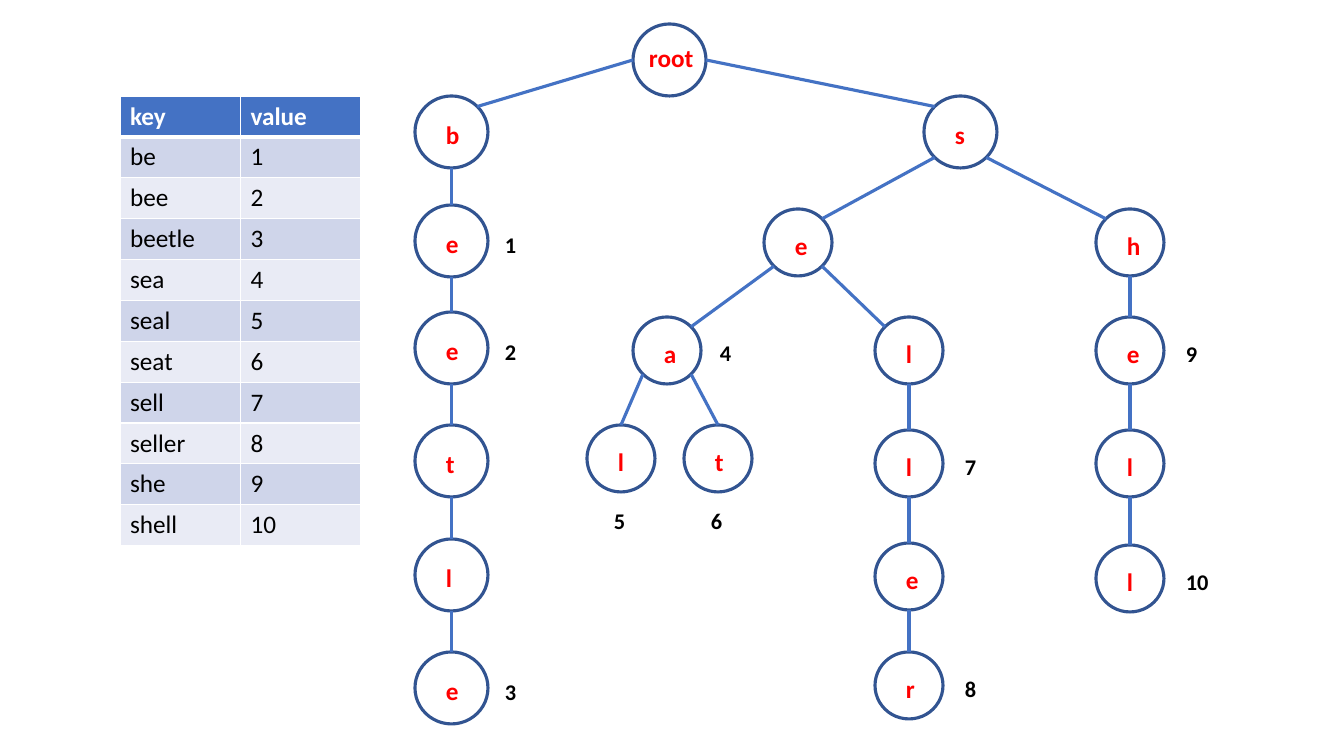
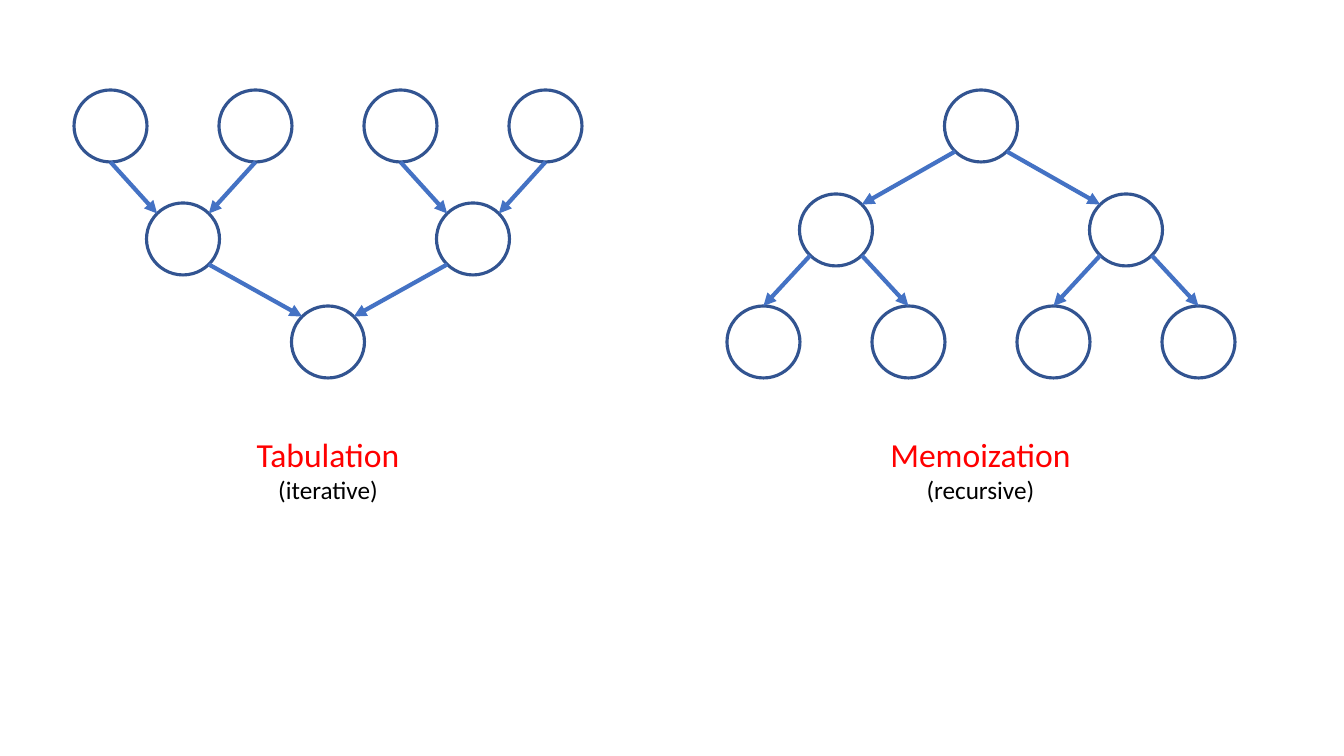
import math

import lxml.etree
import pptx
import pptx.dml.color
import pptx.enum.shapes
import pptx.enum.text
import pptx.oxml.ns
import pptx.util

RGB = pptx.dml.color.RGBColor
WHITE = RGB(0xFF, 0xFF, 0xFF)
BLACK = RGB(0, 0, 0)
RED = RGB(0xFF, 0, 0)
BLUE = RGB(0x44, 0x72, 0xC4)
NAVY = RGB(0x32, 0x54, 0x91)
BANDS = RGB(0xE9, 0xEB, 0xF5), RGB(0xCF, 0xD5, 0xEA)

FONT = "Calibri"
LARGE, SMALL = (73, 72), (68, 67)
KEYS = ["be", "bee", "beetle", "sea", "seal", "seat", "sell", "seller",
        "she", "shell"]

# Each trie node is named by its prefix; the root is the empty prefix.
TRIE = {
    "": (633, 24, LARGE),
    "b": (415, 96, LARGE),
    "be": (415, 205, LARGE),
    "bee": (415, 312, LARGE),
    "beet": (415, 425, LARGE),
    "beetl": (415, 539, LARGE),
    "beetle": (415, 652, LARGE),
    "s": (924, 96, LARGE),
    "se": (764, 209, SMALL),
    "sea": (633, 317, SMALL),
    "seal": (587, 425, SMALL),
    "seat": (684, 425, SMALL),
    "sel": (875, 317, SMALL),
    "sell": (875, 430, SMALL),
    "selle": (875, 543, SMALL),
    "seller": (875, 652, SMALL),
    "sh": (1096, 209, SMALL),
    "she": (1096, 317, SMALL),
    "shel": (1096, 430, SMALL),
    "shell": (1096, 545, SMALL),
}
# Offsets of a value from its node, where it is not beside it.
VALUE_OFFSETS = {"sea": (77, 17), "seal": (17, 77), "seat": (17, 77)}


def px(n):
    """Turn pixels into EMU."""
    return pptx.util.Emu(round(n * 914400 / 100.8))


def write(p, text, size=18, color=BLACK, bold=False, align=None):
    """Add a formatted run to a paragraph."""
    r = p.add_run()
    r.text = text
    r.font.name = FONT
    r.font.size = pptx.util.Pt(size)
    r.font.bold = bold
    r.font.color.rgb = color
    p.alignment = align


def add_xml(parent, tag, **attrs):
    """Append a drawing element and return it."""
    return lxml.etree.SubElement(parent, pptx.oxml.ns.qn("a:" + tag), attrs)


def set_borders(cell, bottom):
    """Give a cell white borders, with its own bottom width in points."""
    tc_pr = cell._tc.get_or_add_tcPr()
    for i, (side, width) in enumerate(
            [("lnL", 1), ("lnR", 1), ("lnT", 1), ("lnB", bottom)]):
        ln = add_xml(tc_pr, side, w=str(pptx.util.Pt(width)))
        add_xml(add_xml(ln, "solidFill"), "srgbClr", val=str(WHITE))
        tc_pr.insert(i, ln)


def center_x(sp):
    """Return the horizontal centre of a shape."""
    return sp.left + sp.width / 2


def side_of(a, b):
    """Return -1, 0 or 1 as b lies left of, in line with or right of a."""
    gap = center_x(b) - center_x(a)
    return 0 if abs(gap) < px(3) else int(math.copysign(1, gap))


def rim(sp, direction):
    """Return the point of a circle's rim in a direction."""
    dx, dy = direction
    n = math.hypot(dx, dy)
    return (round(center_x(sp) + dx / n * sp.width / 2),
            round(sp.top + sp.height / 2 + dy / n * sp.height / 2))


class Deck:
    """Holds the presentation, its style and the current slide."""

    def __init__(self):
        """Start an empty widescreen presentation."""
        self.prs = pptx.Presentation()
        self.prs.slide_width, self.prs.slide_height = px(1344), px(756)

    def new_slide(self):
        """Add a blank slide and draw on it from now on."""
        s = self.prs.slides.add_slide(self.prs.slide_layouts[6])
        self.page = self.shapes = s.shapes

    def circle(self, x, y, size=LARGE):
        """Draw an outlined white node."""
        oval = pptx.enum.shapes.MSO_SHAPE.OVAL
        sp = self.shapes.add_shape(oval, px(x), px(y), *map(px, size))
        sp.shadow.inherit = False
        sp.fill.solid()
        sp.fill.fore_color.rgb = WHITE
        sp.line.color.rgb = NAVY
        sp.line.width = pptx.util.Pt(2.25)
        return sp

    def link(self, a, b, start, end, width=2.25, arrow=False):
        """Join the rims of two nodes, in the given directions."""
        straight = pptx.enum.shapes.MSO_CONNECTOR.STRAIGHT
        c = self.shapes.add_connector(straight, *rim(a, start), *rim(b, end))
        c.line.color.rgb = BLUE
        c.line.width = pptx.util.Pt(width)
        sp_pr = c._element.spPr
        if arrow:
            add_xml(sp_pr.find(pptx.oxml.ns.qn("a:ln")), "tailEnd",
                    type="triangle")
        add_xml(sp_pr, "effectLst")

    def text(self, x, y, w, h, *lines, wrap=True):
        """Add a text box; each line is a text and its format."""
        tf = self.shapes.add_textbox(px(x), px(y), px(w), px(h)).text_frame
        tf.word_wrap = wrap
        tf.auto_size = pptx.enum.text.MSO_AUTO_SIZE.SHAPE_TO_FIT_TEXT
        for i, (text, fmt) in enumerate(lines):
            write(tf.add_paragraph() if i else tf.paragraphs[0], text, **fmt)

    def table(self, x, y, w, h, rows):
        """Add a banded table whose first row is the header."""
        t = self.shapes.add_table(len(rows), len(rows[0]), px(x), px(y),
                                  px(w), px(h)).table
        for i, row in enumerate(rows):
            head = i == 0
            for j, text in enumerate(row):
                cell = t.cell(i, j)
                cell.fill.solid()
                cell.fill.fore_color.rgb = BLUE if head else BANDS[i % 2]
                set_borders(cell, 3 if head else 1)
                write(cell.text_frame.paragraphs[0], text, bold=head,
                      color=WHITE if head else BLACK)

    def binary_tree(self, left, tops, upward):
        """Draw a grouped binary tree; tops run from leaves to root."""
        self.shapes = self.page.add_group_shape().shapes
        gap, levels = 145, []
        for k, top in enumerate(tops):
            count = 2 ** (len(tops) - 1 - k)
            levels.append([
                self.circle(left + gap * (2 ** k * (j + 0.5) - 0.5), top)
                for j in range(count)])
        for k, (children, parents) in enumerate(zip(levels, levels[1:])):
            for j, child in enumerate(children):
                parent = parents[j // 2]
                side = side_of(parent, child)
                dy = -1 if upward else 1
                outer = (side, dy)
                inner = (-side if k else 0, -dy)
                ends = ((child, parent, inner, outer) if upward
                        else (parent, child, outer, inner))
                self.link(*ends, width=3, arrow=True)
        self.shapes = self.page

    def caption(self, x, w, title, note):
        """Add a red title above a note in brackets."""
        center = pptx.enum.text.PP_ALIGN.CENTER
        self.text(x, 429, w, 82,
                  (title, dict(size=24, color=RED, align=center)),
                  (note, dict(align=center)), wrap=False)


def trie_slide(d):
    """Show the key table and the trie that stores it."""
    d.new_slide()
    values = {key: str(i) for i, key in enumerate(KEYS, 1)}
    d.table(120, 96, 241, 450, [("key", "value"), *values.items()])

    nodes = {name: d.circle(*place) for name, place in TRIE.items()}
    for name, child in nodes.items():
        if name:
            up = name[:-1]
            parent = nodes[up]
            side = side_of(parent, child)
            d.link(parent, child, (side, 1 if up else 0),
                   (0 if up == "sea" else -side, -1))

    for name, (x, y, size) in TRIE.items():
        red = dict(color=RED, bold=True)
        if name:
            dy, w = (18, 63) if size == LARGE else (16, 58)
            d.text(x + 21, y + dy, w, 40, (name[-1], red))
        else:
            d.text(x + 6, y + 13, 73, 40, ("root", red))
        if name in values:
            beside = (80, 21 if size == LARGE else 18)
            dx, dy = VALUE_OFFSETS.get(name, beside)
            d.text(x + dx, y + dy, 63, 37,
                   (values[name], dict(size=16, bold=True)))


def dynamic_programming_slide(d):
    """Compare tabulation with memoization."""
    d.new_slide()
    d.binary_tree(74, [90, 203, 306], upward=True)
    d.binary_tree(727, [306, 194, 90], upward=False)
    d.caption(879, 203, "Memoization", "(recursive)")
    d.caption(246, 164, "Tabulation", "(iterative)")


deck = Deck()
trie_slide(deck)
dynamic_programming_slide(deck)
deck.prs.save("out.pptx")
